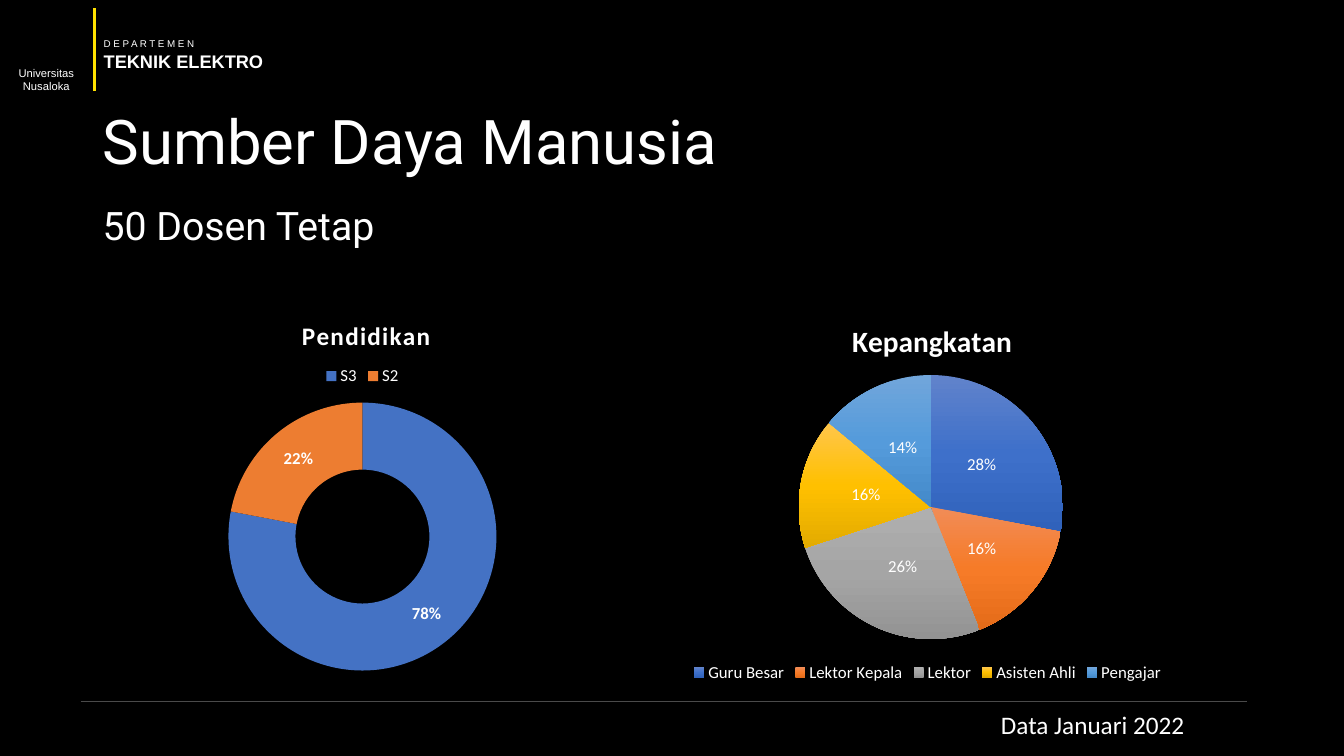
from copy import deepcopy
from lxml import etree
from pptx import Presentation
from pptx import util as u
from pptx.chart.data import CategoryChartData
from pptx.dml.color import RGBColor
from pptx.enum import chart as ch, shapes, text
from pptx.oxml import parse_xml
from pptx.oxml.ns import nsdecls, qn

COLORS = {"black": "000000", "white": "FFFFFF", "yellow": "FFE100", "rule": "4A4A4A"}
TITLE = "Sumber Daya Manusia"
TITLE_BOX = (0.92, 0.99, 11.5, 0.89)
RULES = [
    ((0.8, 6.96), (12.37, 6.96), "rule", 0.5),
    ((0.94, 0.08), (0.94, 0.9), "yellow", 2.25),
]
LEFT, CENTER = text.PP_ALIGN.LEFT, text.PP_ALIGN.CENTER
TEXTS = [
    ((0.93, 0.33, 1.95, 0.44), LEFT, False, "Arial",
     [("D E P A R T E M E N", 7, False), ("TEKNIK ELEKTRO", 13, True)]),
    ((-0.01, 0.61, 0.94, 0.37), CENTER, False, "Arial",
     [("Universitas", 8, False), ("Nusaloka", 8, False)]),
    ((0.92, 2, 11.5, 0.6), LEFT, True, "Roboto", [("50 Dosen Tetap", 28, False)]),
    ((9.83, 6.99, 2.04, 0.4), LEFT, False, "Calibri", [("Data Januari 2022", 18, False)]),
]
CHARTS = [
    {
        "kind": ch.XL_CHART_TYPE.DOUGHNUT, "box": (1.29, 2.9, 4.61, 3.91),
        "title": "Pendidikan", "title_size": 18, "spacing": 90, "title_at": (0.36, 0.055),
        "plot_at": (0.21, 0.28, 0.58, 0.68),
        "legend": ch.XL_LEGEND_POSITION.TOP, "legend_at": (0.41, 0.18, 0.18, 0.065),
        "bold": True,
        "data": [("S3", 78, ["4472C4"]), ("S2", 22, ["ED7D31"])],
    },
    {
        "kind": ch.XL_CHART_TYPE.PIE, "box": (5.99, 2.9, 6.42, 3.91),
        "title": "Kepangkatan", "title_size": 21, "spacing": 0, "title_at": (0.375, 0.058),
        "plot_at": (0.3, 0.21, 0.41, 0.67),
        "legend": ch.XL_LEGEND_POSITION.BOTTOM, "legend_at": None,
        "bold": False,
        "data": [
            ("Guru Besar", 28, ["6183CB", "3E70CA", "3062BB"]),
            ("Lektor Kepala", 16, ["F18C57", "F67B28", "E56C19"]),
            ("Lektor", 26, ["AFAFAF", "A5A5A5", "939393"]),
            ("Asisten Ahli", 16, ["FFC64B", "FFC000", "E3AB00"]),
            ("Pengajar", 14, ["71A6DB", "559BDB", "448ACA"]),
        ],
    },
]


def rgb(name):
    return RGBColor.from_string(COLORS.get(name, name))


def inches(values):
    return [u.Inches(v) for v in values]


def style(font, name, size, bold=False):
    font.name, font.size, font.bold = name, u.Pt(size), bold
    font.color.rgb = rgb("white")


def place(element, before, at, inner=False):
    for old in element.findall(qn("c:layout")):
        element.remove(old)
    layout = parse_xml(f'<c:layout {nsdecls("c")}><c:manualLayout/></c:layout>')
    settings = [("layoutTarget", "inner")] if inner else []
    settings += [("xMode", "edge"), ("yMode", "edge")] + list(zip("xywh", at))
    for tag, value in settings:
        etree.SubElement(layout[0], qn("c:" + tag)).set("val", str(value))
    previous = element.find(qn(before)) if before else None
    if previous is None:
        element.insert(0, layout)
    else:
        previous.addnext(layout)


def paint(fill, shades):
    if len(shades) == 1:
        fill.solid()
        fill.fore_color.rgb = rgb(shades[0])
        return
    fill.gradient()
    fill.gradient_angle = 270
    first = fill.gradient_stops[0]._gs
    first.addnext(deepcopy(first))
    for i, (stop, shade) in enumerate(zip(fill.gradient_stops, shades)):
        stop.position = i / (len(shades) - 1)
        stop.color.rgb = rgb(shade)


def add_rule(s, start, end, color, width):
    line = s.shapes.add_connector(shapes.MSO_CONNECTOR.STRAIGHT, *inches(start + end))
    line.line.color.rgb = rgb(color)
    line.line.width = u.Pt(width)
    etree.SubElement(line._element.spPr, qn("a:effectLst"))


def add_text(s, box, align, wrap, font, lines):
    tf = s.shapes.add_textbox(*inches(box)).text_frame
    tf.word_wrap = wrap
    for i, (words, size, bold) in enumerate(lines):
        p = tf.add_paragraph() if i else tf.paragraphs[0]
        p.text, p.alignment = words, align
        style(p.font, font, size, bold)
        if font == "Roboto":
            p.line_spacing = 0.9


def add_pie(s, c):
    names, values, shades = zip(*c["data"])
    data = CategoryChartData()
    data.categories = names
    data.add_series("Series 1", values)
    chart = s.shapes.add_chart(c["kind"], *inches(c["box"]), data).chart
    style(chart.font, "Calibri", 10)

    tf = chart.chart_title.text_frame
    tf.text = c["title"]
    p = tf.paragraphs[0]
    style(p.font, "Calibri", c["title_size"], True)
    p.font._element.set("spc", str(c["spacing"]))
    place(chart.chart_title._element, "c:tx", c["title_at"])
    chart.chart_title.include_in_layout = False

    chart.has_legend = True
    legend = chart.legend
    legend.position, legend.include_in_layout = c["legend"], False
    style(legend.font, "Calibri", 12)
    if c["legend_at"]:
        place(legend._element, "c:legendPos", c["legend_at"])

    plot = chart.plots[0]
    plot.vary_by_categories = True
    place(plot._element.getparent(), None, c["plot_at"], inner=True)
    plot.has_data_labels = True
    labels = plot.data_labels
    labels.show_percentage, labels.show_value = True, False
    labels.number_format, labels.number_format_is_linked = "0%", False
    style(labels.font, "Calibri", 12, c["bold"])
    if c["kind"] == ch.XL_CHART_TYPE.PIE:
        labels.position = ch.XL_LABEL_POSITION.CENTER
    for i, shade in enumerate(shades):
        paint(plot.series[0].points[i].format.fill, shade)


def main():
    prs = Presentation()
    prs.slide_width, prs.slide_height = inches((13.33, 7.5))
    s = prs.slides.add_slide(prs.slide_layouts[5])
    s.background.fill.solid()
    s.background.fill.fore_color.rgb = rgb("black")

    title = s.shapes.title
    title.left, title.top, title.width, title.height = inches(TITLE_BOX)
    tf = title.text_frame
    tf.text, tf.vertical_anchor = TITLE, text.MSO_ANCHOR.MIDDLE
    p = tf.paragraphs[0]
    p.alignment, p.line_spacing = LEFT, 0.9
    style(p.font, "Roboto", 44)

    for rule in RULES:
        add_rule(s, *rule)
    for item in TEXTS:
        add_text(s, *item)
    for c in CHARTS:
        add_pie(s, c)
    prs.save("out.pptx")


if __name__ == "__main__":
    main()
